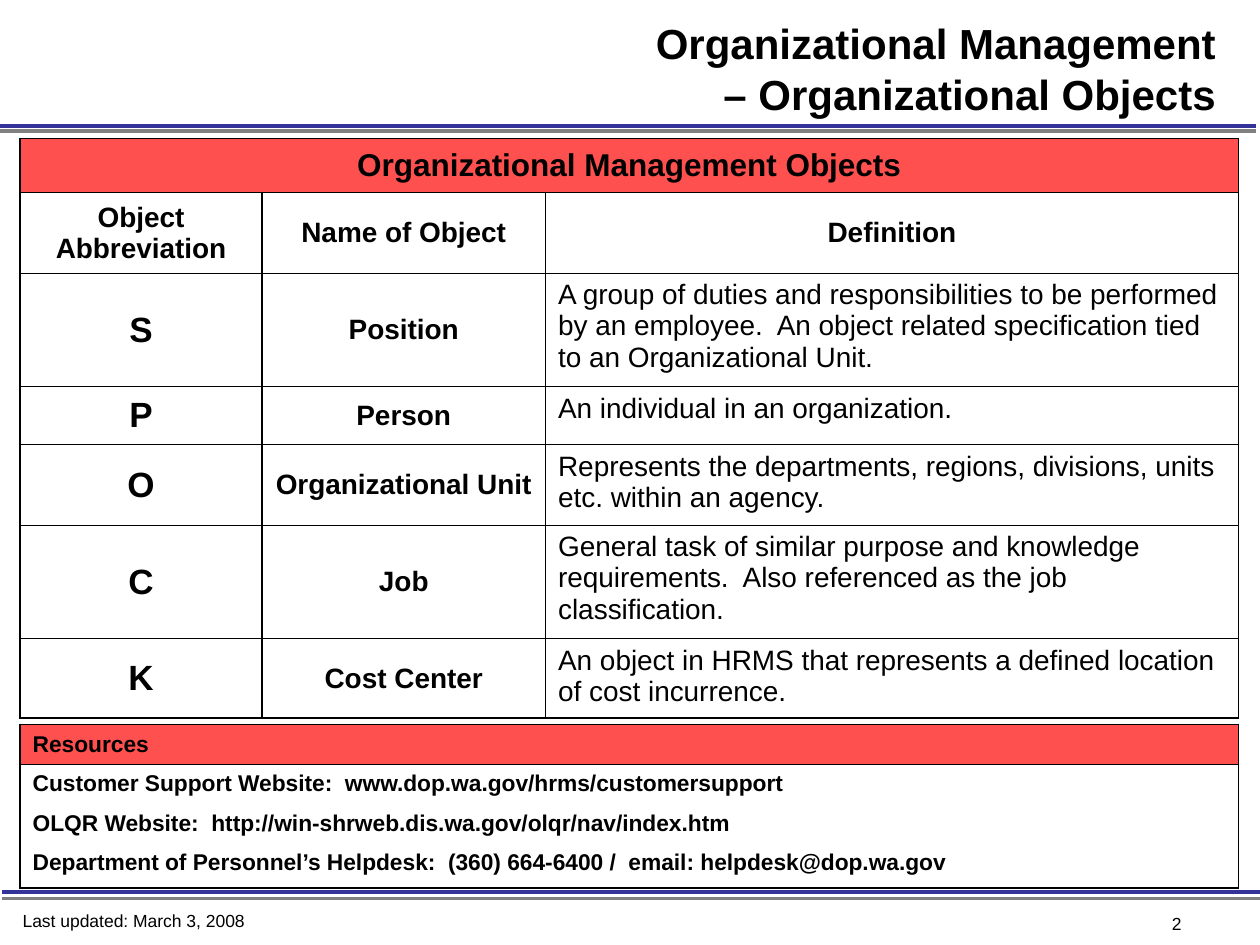
from dataclasses import dataclass

from lxml.etree import SubElement
from pptx import Presentation
from pptx.dml.color import RGBColor
from pptx.enum.shapes import MSO_CONNECTOR
from pptx.enum.text import MSO_ANCHOR, MSO_AUTO_SIZE, PP_ALIGN
from pptx.oxml.ns import qn
from pptx.util import Inches, Pt

COLORS = {
    "text": "000000",
    "border": "000000",
    "heading": "FF5050",
    "paper": "FFFFFF",
    "navy": "333399",
    "gray": "808080",
}
FONT = "Arial"
TABLE_LEFT = 0.16
THICK, THIN = 1.08, 0.45


@dataclass(frozen=True)
class Rule:
    left: float
    right: float
    top: float
    color: str


@dataclass(frozen=True)
class OrgObject:
    abbreviation: str
    name: str
    definition: str
    height: float


@dataclass(frozen=True)
class Style:
    size: float
    bold: bool = False
    align: PP_ALIGN = PP_ALIGN.LEFT
    anchor: MSO_ANCHOR = MSO_ANCHOR.TOP
    fill: str = "paper"
    gap: float = 0


RULES = [
    Rule(0, 9.97, 1.0, "navy"),
    Rule(0, 9.97, 1.04, "gray"),
    Rule(0.02, 10, 7.08, "navy"),
    Rule(0.02, 10, 7.13, "gray"),
]
HEADERS = ["Object Abbreviation", "Name of Object", "Definition"]
OBJECTS = [
    OrgObject("S", "Position", "A group of duties and responsibilities to be performed by an "
              "employee.  An object related specification tied to an Organizational Unit.", 0.9),
    OrgObject("P", "Person", "An individual in an organization.", 0.46),
    OrgObject("O", "Organizational Unit", "Represents the departments, regions, divisions, "
              "units etc. within an agency.", 0.64),
    OrgObject("C", "Job", "General task of similar purpose and knowledge requirements.  "
              "Also referenced as the job classification.", 0.9),
    OrgObject("K", "Cost Center", "An object in HRMS that represents a defined location "
              "of cost incurrence.", 0.63),
]
RESOURCES = [
    "Customer Support Website:  www.dop.wa.gov/hrms/customersupport",
    "OLQR Website:  http://win-shrweb.dis.wa.gov/olqr/nav/index.htm",
    "Department of Personnel’s Helpdesk:  (360) 664-6400 /  email: helpdesk@dop.wa.gov",
]

CENTERED = {"bold": True, "align": PP_ALIGN.CENTER, "anchor": MSO_ANCHOR.MIDDLE}
TITLE = Style(24, True, PP_ALIGN.RIGHT, MSO_ANCHOR.MIDDLE)
BANNER = Style(18, fill="heading", **CENTERED)
LABEL = Style(16, **CENTERED)
LETTER = Style(20, **CENTERED)
DEFINITION = Style(16)
RESOURCE_HEADING = Style(13, True, anchor=MSO_ANCHOR.MIDDLE, fill="heading")
RESOURCE = Style(13, True, gap=8.1)
FOOTER = Style(10)


def rgb(name: str) -> RGBColor:
    return RGBColor.from_string(COLORS[name])


def write_text(frame, lines: list[str], style: Style) -> None:
    frame.text = "\n".join(lines)
    for index, paragraph in enumerate(frame.paragraphs):
        paragraph.alignment = style.align
        paragraph.space_before = Pt(style.gap if index else 0)
        paragraph.font.name = FONT
        paragraph.font.size = Pt(style.size)
        paragraph.font.bold = style.bold
        paragraph.font.color.rgb = rgb("text")


def draw_rule(page, rule: Rule) -> None:
    line = page.shapes.add_connector(
        MSO_CONNECTOR.STRAIGHT, Inches(rule.left), Inches(rule.top),
        Inches(rule.right), Inches(rule.top))
    line.line.color.rgb = rgb(rule.color)
    line.line.width = Pt(2)
    SubElement(line._element.spPr, qn("a:effectLst"))


def set_borders(cell, widths: dict[str, float]) -> None:
    properties = cell._tc.get_or_add_tcPr()
    for side in "LRTB":
        border = SubElement(properties, qn(f"a:ln{side}"), w=str(Pt(widths[side])))
        fill = SubElement(border, qn("a:solidFill"))
        SubElement(fill, qn("a:srgbClr"), val=COLORS["border"])


def add_grid(page, top: float, columns: list[float], heights: list[float]):
    table = page.shapes.add_table(
        len(heights), len(columns), Inches(TABLE_LEFT), Inches(top),
        Inches(sum(columns)), Inches(sum(heights))).table
    table.first_row = table.horz_banding = False
    for column, width in zip(table.columns, columns):
        column.width = Inches(width)
    for row, height in zip(table.rows, heights):
        row.height = Inches(height)
    last = len(heights) - 1
    for index, row in enumerate(table.rows):
        for cell in row.cells:
            set_borders(cell, {"L": THICK, "R": THICK,
                               "T": THIN if index else THICK,
                               "B": THICK if index == last else THIN})
    return table


def fill_cell(cell, lines: list[str], style: Style) -> None:
    cell.fill.solid()
    cell.fill.fore_color.rgb = rgb(style.fill)
    cell.vertical_anchor = style.anchor
    write_text(cell.text_frame, lines, style)


def add_objects_table(page) -> None:
    heights = [0.43, 0.64] + [item.height for item in OBJECTS]
    table = add_grid(page, 1.1, [1.92, 2.25, 5.5], heights)
    table.cell(0, 0).merge(table.cell(0, 2))
    fill_cell(table.cell(0, 0), ["Organizational Management Objects"], BANNER)
    for column, header in enumerate(HEADERS):
        fill_cell(table.cell(1, column), [header], LABEL)
    for row, item in enumerate(OBJECTS, start=2):
        fill_cell(table.cell(row, 0), [item.abbreviation], LETTER)
        fill_cell(table.cell(row, 1), [item.name], LABEL)
        fill_cell(table.cell(row, 2), [item.definition], DEFINITION)


def add_resources_table(page) -> None:
    table = add_grid(page, 5.75, [9.67], [0.32, 0.98])
    fill_cell(table.cell(0, 0), ["Resources"], RESOURCE_HEADING)
    fill_cell(table.cell(1, 0), RESOURCES, RESOURCE)


def add_footer(page, text: str, left: float, top: float, width: float) -> None:
    box = page.shapes.add_textbox(Inches(left), Inches(top), Inches(width), Inches(0.17))
    frame = box.text_frame
    frame.word_wrap = False
    frame.auto_size = MSO_AUTO_SIZE.NONE
    frame.margin_left = frame.margin_right = frame.margin_top = frame.margin_bottom = 0
    write_text(frame, [text], FOOTER)


def add_title(page) -> None:
    title = page.shapes.title
    title.left, title.top = Inches(5.08), Inches(0.08)
    title.width, title.height = Inches(4.67), Inches(0.92)
    frame = title.text_frame
    frame.word_wrap = True
    frame.auto_size = MSO_AUTO_SIZE.NONE
    frame.vertical_anchor = TITLE.anchor
    write_text(frame, ["Organizational Management – Organizational Objects"], TITLE)


def main() -> None:
    deck = Presentation()
    deck.slide_width, deck.slide_height = Inches(10), Inches(7.5)
    page = deck.slides.add_slide(deck.slide_layouts[5])
    for rule in RULES:
        draw_rule(page, rule)
    add_title(page)
    add_objects_table(page)
    add_resources_table(page)
    add_footer(page, "Last updated: March 3, 2008", 0.18, 7.22, 2)
    add_footer(page, "2", 9.3, 7.25, 0.63)
    deck.save("out.pptx")


if __name__ == "__main__":
    main()
